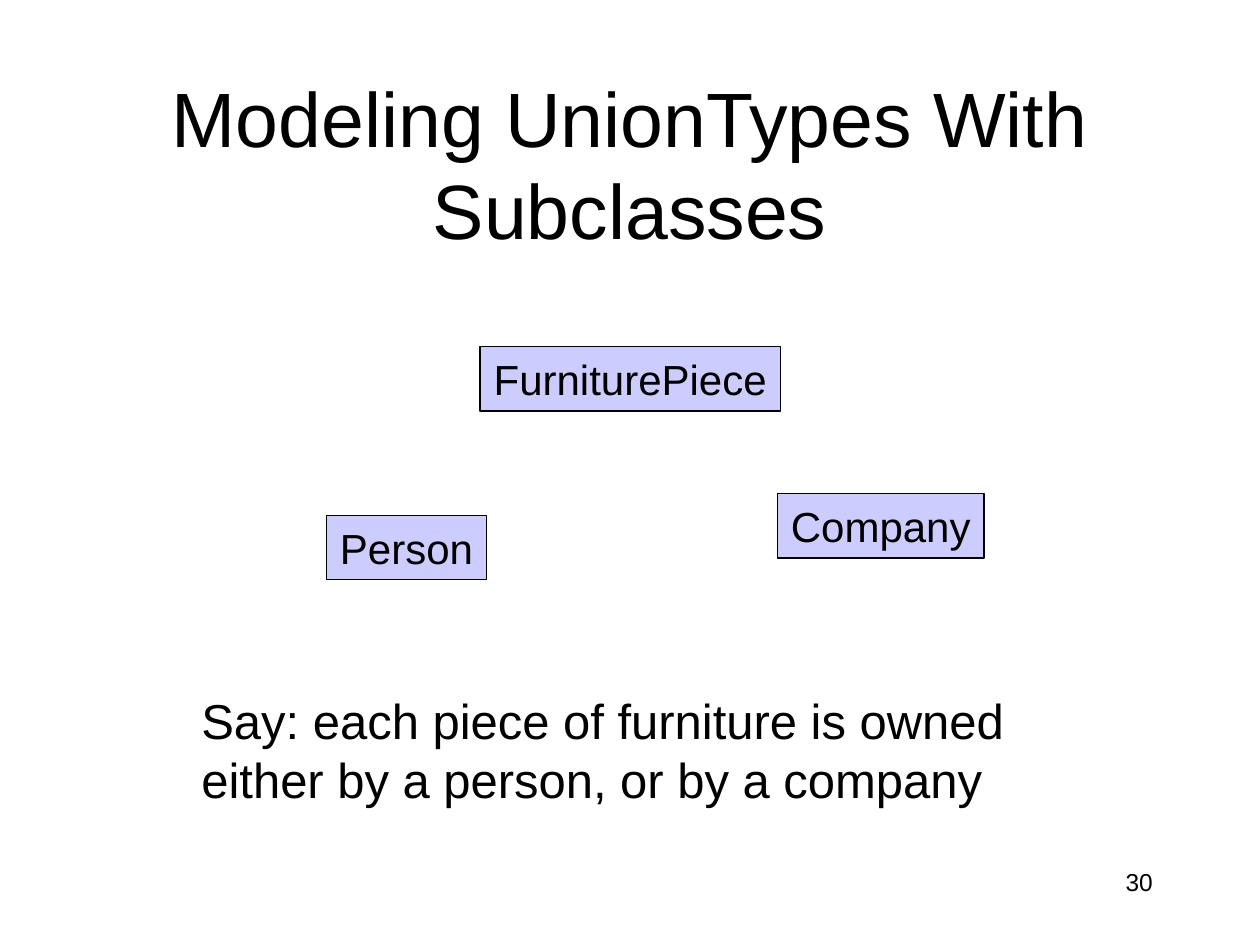
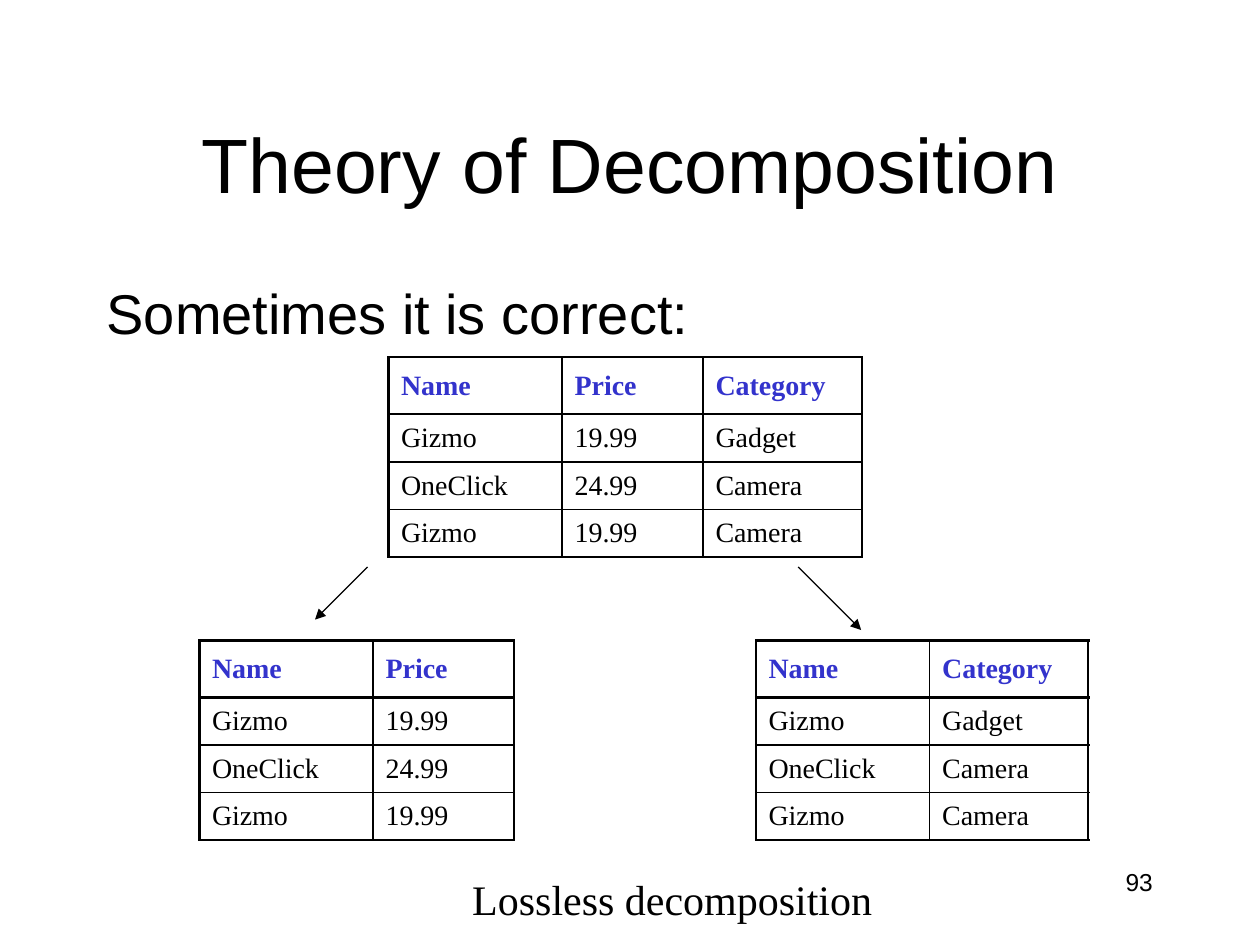
from dataclasses import dataclass

from lxml.etree import SubElement
from pptx import Presentation
from pptx.dml.color import RGBColor
from pptx.enum.shapes import MSO_CONNECTOR, MSO_SHAPE
from pptx.enum.text import MSO_ANCHOR as Anchor, MSO_AUTO_SIZE as AutoSize, PP_ALIGN as Align
from pptx.oxml.ns import qn
from pptx.util import Cm, Pt

COLORS = {"ink": "000000", "heading": "3333CC", "entity": "CCCCFF"}
SANS, SERIF = "Arial", "Times New Roman"
OUTER, INNER = 1.5, 1  # table rule widths in points
HEADER_HEIGHT, ROW_HEIGHT = 1.15, 0.96
COLUMN_WIDTHS = {"Name": 3.5, "Price": 2.84, "Category": 3.2}
PRODUCTS = [
    {"Name": "Gizmo", "Price": "19.99", "Category": "Gadget"},
    {"Name": "OneClick", "Price": "24.99", "Category": "Camera"},
    {"Name": "Gizmo", "Price": "19.99", "Category": "Camera"},
]


@dataclass
class Area:
    """A rectangle in centimetres."""
    left: float
    top: float
    width: float
    height: float

    def lengths(self) -> tuple:
        """Return the four sides as lengths."""
        return Cm(self.left), Cm(self.top), Cm(self.width), Cm(self.height)


@dataclass
class Style:
    """How a piece of text looks."""
    size: float
    font: str = SANS
    color: str = "ink"
    bold: bool = False
    align: Align = Align.LEFT
    anchor: Anchor = Anchor.TOP


@dataclass
class Entity:
    """A named class box."""
    name: str
    area: Area


@dataclass
class Relation:
    """A projection of the products onto some columns."""
    left: float
    top: float
    columns: list


@dataclass
class Arrow:
    """A straight arrow, its ends in centimetres."""
    start: tuple
    end: tuple


TITLE = Style(44, align=Align.CENTER, anchor=Anchor.MIDDLE)
PAGE_NUMBER = Style(14, align=Align.RIGHT)
ENTITY = Style(24, align=Align.CENTER, anchor=Anchor.MIDDLE)
REMARK = Style(28, anchor=Anchor.MIDDLE)
LEAD = Style(32)
CAPTION = Style(24, SERIF)
HEADER_CELL = Style(16, SERIF, "heading", bold=True, anchor=Anchor.MIDDLE)
BODY_CELL = Style(16, SERIF, anchor=Anchor.MIDDLE)

ENTITIES = [
    Entity("FurniturePiece", Area(9.68, 6.99, 6.05, 1.3)),
    Entity("Person", Area(6.58, 10.39, 3.23, 1.3)),
    Entity("Company", Area(15.67, 9.95, 4.17, 1.3)),
]
RELATIONS = [
    Relation(7.83, 7.2, ["Name", "Price", "Category"]),
    Relation(4.02, 12.91, ["Name", "Price"]),
    Relation(15.24, 12.91, ["Name", "Category"]),
]
ARROWS = [
    Arrow((7.41, 11.43), (6.35, 12.49)),
    Arrow((16.09, 11.43), (17.36, 12.7)),
]


def rgb(name: str) -> RGBColor:
    """Look up a named colour."""
    return RGBColor.from_string(COLORS[name])


def format_text(frame, text: str, style: Style) -> None:
    """Set the text of a frame and format it."""
    frame.text = text
    para = frame.paragraphs[0]
    para.alignment = style.align
    for span in para.runs:
        span.font.name = style.font
        span.font.size = Pt(style.size)
        span.font.bold = style.bold
        span.font.color.rgb = rgb(style.color)


def add_text(page, area: Area, text: str, style: Style, wrap: bool = True) -> None:
    """Add a text box."""
    frame = page.shapes.add_textbox(*area.lengths()).text_frame
    format_text(frame, text, style)
    frame.word_wrap = wrap
    frame.vertical_anchor = style.anchor


def add_page(deck, title: str, number: int):
    """Add a blank page with its title and page number."""
    page = deck.slides.add_slide(deck.slide_layouts[6])
    add_text(page, Area(18.2, 17.36, 5.29, 1.27), str(number), PAGE_NUMBER)
    add_text(page, Area(1.9, 1.69, 21.6, 3.18), title, TITLE)
    return page


def add_entity(page, entity: Entity) -> None:
    """Draw a class as a labelled box."""
    box = page.shapes.add_shape(MSO_SHAPE.RECTANGLE, *entity.area.lengths())
    box.shadow.inherit = False
    box.fill.solid()
    box.fill.fore_color.rgb = rgb("entity")
    box.line.color.rgb = rgb("ink")
    box.line.width = Pt(0.75)
    frame = box.text_frame
    format_text(frame, entity.name, ENTITY)
    frame.word_wrap = False
    frame.auto_size = AutoSize.SHAPE_TO_FIT_TEXT
    frame.vertical_anchor = ENTITY.anchor


def set_borders(cell, widths: dict) -> None:
    """Draw the sides of a cell, each with its width in points."""
    properties = cell._tc.get_or_add_tcPr()
    for position, (side, width) in enumerate(widths.items()):
        line = properties.makeelement(qn(f"a:ln{side}"), {"w": str(Pt(width))})
        fill = SubElement(line, qn("a:solidFill"))
        SubElement(fill, qn("a:srgbClr"), val=COLORS["ink"])
        properties.insert(position, line)


def add_relation(page, relation: Relation) -> None:
    """Draw a relation as a ruled table with a header row."""
    names = relation.columns
    rows = [names] + [[product[name] for name in names] for product in PRODUCTS]
    width = sum(COLUMN_WIDTHS[name] for name in names)
    height = HEADER_HEIGHT + ROW_HEIGHT * len(PRODUCTS)
    area = Area(relation.left, relation.top, width, height)
    table = page.shapes.add_table(len(rows), len(names), *area.lengths()).table
    table.first_row = table.horz_banding = False
    for column, name in zip(table.columns, names):
        column.width = Cm(COLUMN_WIDTHS[name])
    last_row, last_column = len(rows) - 1, len(names) - 1
    for r, values in enumerate(rows):
        table.rows[r].height = Cm(ROW_HEIGHT if r else HEADER_HEIGHT)
        style = BODY_CELL if r else HEADER_CELL
        for c, value in enumerate(values):
            cell = table.cell(r, c)
            format_text(cell.text_frame, value, style)
            cell.vertical_anchor = style.anchor
            cell.fill.background()
            set_borders(cell, {
                "L": OUTER if c == 0 else INNER,
                "R": OUTER if c == last_column else INNER,
                "T": OUTER if r <= 1 else INNER,
                "B": OUTER if r in (0, last_row) else INNER,
            })


def add_arrow(page, arrow: Arrow) -> None:
    """Draw a thin arrow with a triangular head."""
    ends = [Cm(value) for value in arrow.start + arrow.end]
    connector = page.shapes.add_connector(MSO_CONNECTOR.STRAIGHT, *ends)
    connector.line.color.rgb = rgb("ink")
    connector.line.width = Pt(0.75)
    SubElement(connector.line._get_or_add_ln(), qn("a:tailEnd"), type="triangle")
    SubElement(connector._element.spPr, qn("a:effectLst"))


def build_union_types(deck) -> None:
    """Build the page on union types."""
    page = add_page(deck, "Modeling UnionTypes With Subclasses", 30)
    for entity in ENTITIES:
        add_entity(page, entity)
    remark = "Say: each piece of furniture is owned either by a person, or by a company"
    add_text(page, Area(3.81, 13.8, 18.63, 2.62), remark, REMARK)


def build_decomposition(deck) -> None:
    """Build the page on lossless decomposition."""
    page = add_page(deck, "Theory of Decomposition", 93)
    add_text(page, Area(1.9, 5.5, 21.6, 11.43), "Sometimes it is correct:", LEAD)
    for relation in RELATIONS:
        add_relation(page, relation)
    for arrow in ARROWS:
        add_arrow(page, arrow)
    add_text(page, Area(9.27, 17.48, 8.6, 1.27), "Lossless decomposition", CAPTION, wrap=False)


def main() -> None:
    """Build and save the deck."""
    deck = Presentation()
    deck.slide_width, deck.slide_height = Cm(25.4), Cm(19.05)
    build_union_types(deck)
    build_decomposition(deck)
    deck.save("out.pptx")


main()
